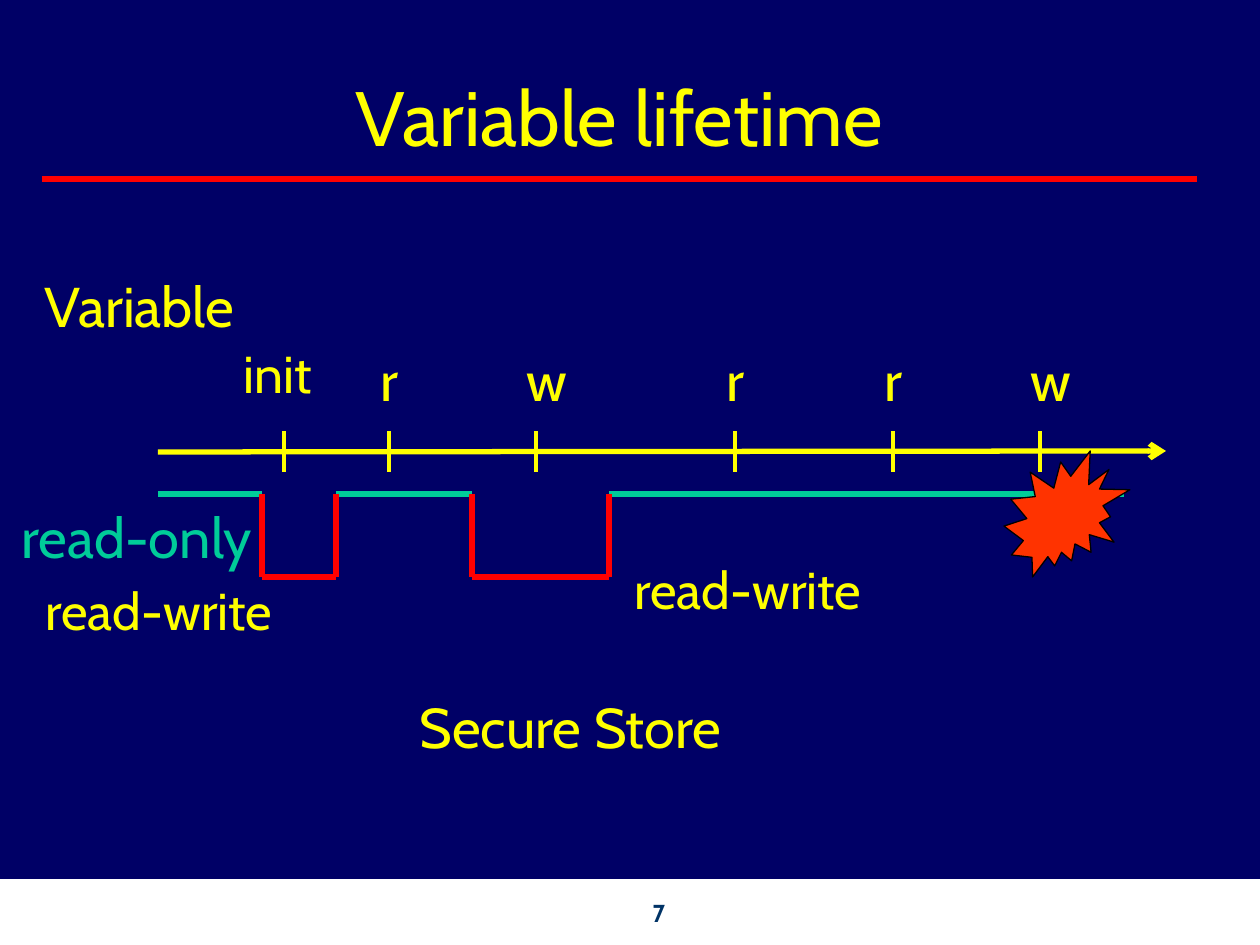
from lxml.etree import SubElement as Sub
from pptx import Presentation
from pptx.dml.color import RGBColor
from pptx.enum.shapes import MSO_CONNECTOR as Link, MSO_SHAPE as Kind
from pptx.enum.text import MSO_ANCHOR as Anchor, MSO_AUTO_SIZE as Fit, PP_ALIGN as Align
from pptx.oxml.ns import qn
from pptx.util import Emu, Pt

PX = Emu(914400) / 126
hue = RGBColor.from_string
YELLOW, RED, GREEN = "FFFF00", "FF0000", "00CC99"

deck = Presentation()
deck.slide_width, deck.slide_height = round(1260 * PX), round(945 * PX)
slide = deck.slides.add_slide(deck.slide_layouts[1])
slide.background.fill.solid()
slide.background.fill.fore_color.rgb = hue("000066")
shapes = slide.shapes


def write(box, area, text, size, color=YELLOW, space=None):
    box.left, box.top, box.width, box.height = [round(n * PX) for n in area]
    frame = box.text_frame
    frame.text = text
    frame.word_wrap = True
    frame.auto_size = Fit.NONE
    para = frame.paragraphs[0]
    if space:
        para.line_spacing = space
        para.space_before = Pt(8)
        props = para._p.get_or_add_pPr()
        props.set("marL", str(round(48 * PX)))
        props.set("indent", str(round(-48 * PX)))
        Sub(props, qn("a:buNone"))
    font = para.runs[0].font
    font.name, font.size = "Cabin", Pt(size)
    font.color.rgb = hue(color)
    return para


def rule(x1, y1, x2, y2, color, width=3):
    ends = [round(n * PX) for n in (x1, y1, x2, y2)]
    line = shapes.add_connector(Link.STRAIGHT, *ends)
    line.line.color.rgb = hue(color)
    line.line.width = Pt(width)
    Sub(line._element.spPr, qn("a:effectLst"))
    return line


strip = shapes.add_shape(Kind.RECTANGLE, *[round(n * PX) for n in (0, 882, 1260, 64)])
seal = shapes.add_shape(Kind.EXPLOSION2, *[round(n * PX) for n in (1004, 451, 126, 126)])
for shape, fill, edge, width in [(strip, "FFFFFF", "FFFFFF", 3), (seal, "FF3300", "000000", 0.75)]:
    shape.shadow.inherit = False
    shape.fill.solid()
    shape.fill.fore_color.rgb = hue(fill)
    shape.line.color.rgb = hue(edge)
    shape.line.width = Pt(width)

title = shapes.title
write(title, (42, 42, 1155, 147), "Variable lifetime", 44).alignment = Align.CENTER
title.text_frame.vertical_anchor = Anchor.MIDDLE
rule(42, 179, 1197, 179, RED)

write(slide.placeholders[1], (231, 347, 105, 73), "init", 29.6, space=0.8)

axis = rule(158, 452, 1166, 451, YELLOW)
Sub(axis.line._get_or_add_ln(), qn("a:tailEnd"), type="arrow")
for x in (284, 389, 536, 735, 893, 1040):
    rule(x, 472, x, 431, YELLOW, 2)

for x1, x2 in [(158, 262), (336, 472), (609, 1124)]:
    rule(x1, 494, x2, 494, GREEN)
for x1, x2 in [(262, 336), (472, 609)]:
    rule(x1, 494, x1, 577, RED)
    rule(x2, 494, x2, 577, RED)
    rule(x1, 577, x2, 577, RED)

shapes._spTree.append(seal._element)

for text, x, y, wide, high, size, color, space in [
    ("r", 368, 347, 42, 73, 32, YELLOW, 0.9),
    ("w", 514, 347, 63, 73, 32, YELLOW, 0.9),
    ("r", 714, 347, 42, 73, 32, YELLOW, 0.9),
    ("r", 872, 347, 42, 73, 32, YELLOW, 0.9),
    ("w", 1018, 347, 63, 73, 32, YELLOW, 0.9),
    ("read-only", 9, 504, 292, 171, 32, GREEN, 0.9),
    ("read-write", 622, 564, 284, 73, 29.6, YELLOW, 0.8),
    ("read-write", 33, 585, 284, 73, 29.6, YELLOW, 0.8),
    ("Variable", 32, 273, 284, 73, 32, YELLOW, 0.9),
    ("Secure Store", 407, 694, 368, 73, 32, YELLOW, 0.9),
]:
    write(shapes.add_textbox(0, 0, 0, 0), (x, y, wide, high), text, size, color, space)

page = write(shapes.add_textbox(0, 0, 0, 0), (528, 892, 262, 47), "7", 14, "003366")
page.alignment = Align.CENTER
page.runs[0].font.bold = True

deck.save("out.pptx")
